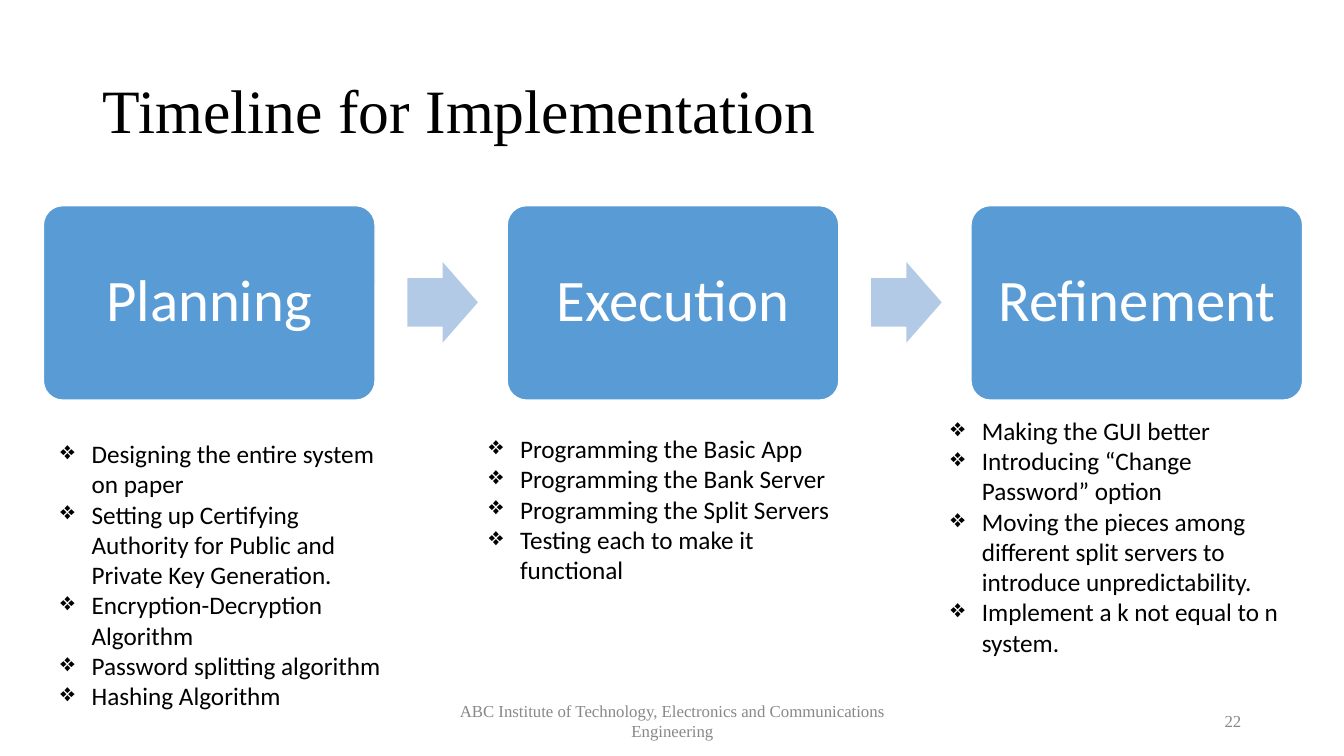
"""Build the implementation timeline slide."""
from dataclasses import dataclass

from lxml import etree
from pptx import Presentation
from pptx.dml.color import RGBColor
from pptx.enum import shapes, text
from pptx.oxml import ns
from pptx.util import Inches, Pt

COLORS = {"box": "599BD5", "arrow": "B3CAE7", "white": "FFFFFF",
          "ink": "000000", "gray": "888888"}
SERIF, SANS = "Times New Roman", "Calibri"
LEFT, STEP, TOP = 0.43, 4.6, 2.04
WIDE, HIGH = 3.29, 1.93
INDENT = 0.31


@dataclass
class Phase:
    name: str
    left: float
    top: float
    high: float
    tasks: tuple[str, ...]


@dataclass
class Note:
    words: str
    left: float
    wide: float
    align: text.PP_ALIGN


PHASES = (
    Phase("Planning", 0.5, 4.3, 2.83, (
        "Designing the entire system on paper",
        "Setting up Certifying Authority for Public and Private Key Generation.",
        "Encryption-Decryption Algorithm",
        "Password splitting algorithm",
        "Hashing Algorithm")),
    Phase("Execution", 4.75, 4.25, 1.92, (
        "Programming the Basic App",
        "Programming the Bank Server",
        "Programming the Split Servers",
        "Testing each to make it functional")),
    Phase("Refinement", 9.33, 4.07, 2.52, (
        "Making the GUI better",
        "Introducing “Change Password” option",
        "Moving the pieces among different split servers to introduce unpredictability.",
        "Implement a k not equal to n system.")),
)
NOTES = (
    Note("ABC Institute of Technology, Electronics and Communications Engineering",
         4.42, 4.5, text.PP_ALIGN.CENTER),
    Note("22", 9.41, 3, text.PP_ALIGN.RIGHT),
)


def area(left: float, top: float, wide: float, high: float) -> tuple:
    """Convert a rectangle from inches to lengths."""
    return Inches(left), Inches(top), Inches(wide), Inches(high)


def style(frame, size: float, font: str, color: str,
          align=text.PP_ALIGN.LEFT, space: float = 1.0) -> None:
    """Format every paragraph and run of a frame."""
    frame.word_wrap = True
    for para in frame.paragraphs:
        para.alignment = align
        para.line_spacing = space
        for run in para.runs:
            run.font.size = Pt(size)
            run.font.name = font
            run.font.color.rgb = RGBColor.from_string(COLORS[color])


def solid(slide, kind, spot: tuple, color: str, adjust: tuple):
    """Add a filled shape without outline or shadow."""
    shape = slide.shapes.add_shape(kind, *spot)
    shape.shadow.inherit = False
    shape.fill.solid()
    shape.fill.fore_color.rgb = RGBColor.from_string(COLORS[color])
    shape.line.fill.background()
    for index, value in enumerate(adjust):
        shape.adjustments[index] = value
    return shape


def bullet(para) -> None:
    """Give a paragraph a diamond bullet and hanging indent."""
    props = para._p.get_or_add_pPr()
    props.set("marL", str(Inches(INDENT)))
    props.set("indent", str(-Inches(INDENT)))
    tint = etree.SubElement(props, ns.qn("a:buClr"))
    etree.SubElement(tint, ns.qn("a:srgbClr"), val=COLORS["ink"])
    etree.SubElement(props, ns.qn("a:buChar"), char="❖")


def head(slide) -> None:
    """Place and format the title."""
    title = slide.shapes.title
    title.left, title.top, title.width, title.height = area(0.92, 0.4, 11.5, 1.45)
    frame = title.text_frame
    frame.text = "Timeline for Implementation"
    frame.vertical_anchor = text.MSO_ANCHOR.MIDDLE
    style(frame, 44, SERIF, "ink", space=0.9)


def block(slide, phase: Phase, left: float) -> None:
    """Draw the rounded box that names a phase."""
    box = solid(slide, shapes.MSO_SHAPE.ROUNDED_RECTANGLE,
                area(left, TOP, WIDE, HIGH), "box", (0.1,))
    box.line.color.rgb = RGBColor.from_string(COLORS["white"])
    box.line.width = Pt(1)
    frame = box.text_frame
    frame.text = phase.name
    frame.margin_left = frame.margin_right = Inches(0.2)
    frame.vertical_anchor = text.MSO_ANCHOR.MIDDLE
    style(frame, 42, SANS, "white", text.PP_ALIGN.CENTER, 0.9)


def tasks(slide, phase: Phase) -> None:
    """Write the bulleted tasks of a phase."""
    spot = area(phase.left, phase.top, 3.58, phase.high)
    frame = slide.shapes.add_textbox(*spot).text_frame
    frame.text = "\n".join(phase.tasks)
    style(frame, 18, SANS, "ink")
    for para in frame.paragraphs:
        bullet(para)


def foot(slide, note: Note) -> None:
    """Write one footer note."""
    spot = area(note.left, 6.95, note.wide, 0.4)
    frame = slide.shapes.add_textbox(*spot).text_frame
    frame.text = note.words
    frame.vertical_anchor = text.MSO_ANCHOR.MIDDLE
    style(frame, 12, SERIF, "gray", note.align)


def main() -> None:
    """Build and save the slide."""
    deck = Presentation()
    deck.slide_width, deck.slide_height = Inches(13.33), Inches(7.5)
    slide = deck.slides.add_slide(deck.slide_layouts[5])
    head(slide)
    for index, phase in enumerate(PHASES):
        left = LEFT + index * STEP
        block(slide, phase, left)
        if index < len(PHASES) - 1:
            solid(slide, shapes.MSO_SHAPE.RIGHT_ARROW,
                  area(left + 3.61, 2.6, 0.7, 0.8), "arrow", (0.6, 0.5))
        tasks(slide, phase)
    for note in NOTES:
        foot(slide, note)
    deck.save("out.pptx")


if __name__ == "__main__":
    main()
